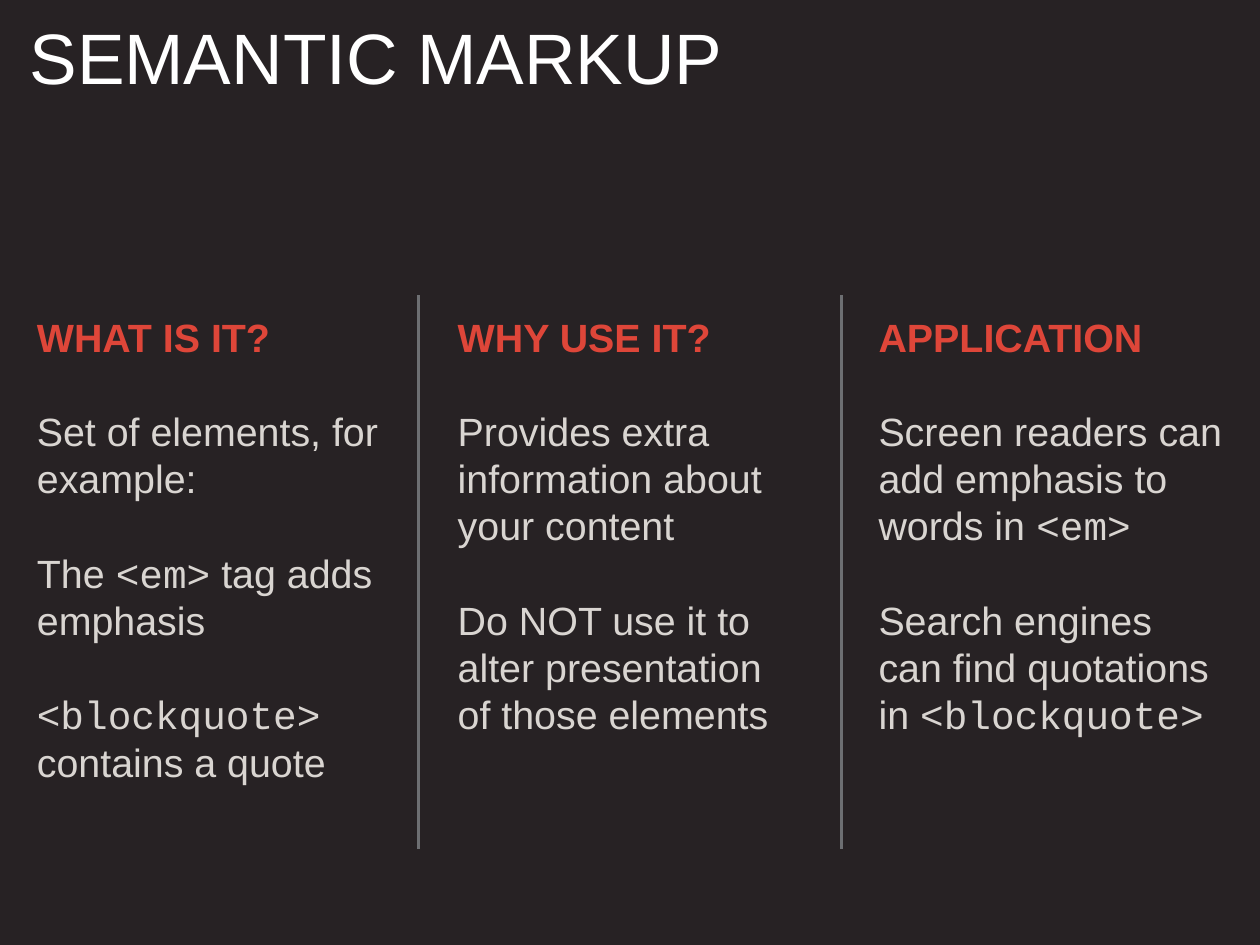
import pptx
import pptx.dml.color
import pptx.enum.shapes
import pptx.enum.text
import pptx.oxml.ns
import pptx.util
from lxml import etree

TITLE = "SEMANTIC MARKUP"
COLUMNS = [
    ("WHAT IS IT?", [
        ["Set of elements, for example:"],
        ["The ", "<em>", " tag adds emphasis"],
        ["<blockquote>", "\n", "contains a quote"],
    ]),
    ("WHY USE IT?", [
        ["Provides extra information about your content"],
        ["Do NOT use it to alter presentation of those elements"],
    ]),
    ("APPLICATION", [
        ["Screen readers can add emphasis to words in ", "<em>"],
        ["Search engines can find quotations in ", "<blockquote>"],
    ]),
]
RULES = [340, 684]

BACKGROUND, WHITE, RED, SAND, GREY = "272224", "FFFFFF", "DE4639", "D9D5D1", "6D6F72"
TEXT_FONT, CODE_FONT = "Arial", "Courier New"
COLUMN_STEP, COLUMN_WIDTH, COLUMN_INSET = 342, 340, 30
HEADING_TOP, HEADING_HEIGHT = 225, 98
BODY_TOP, BODY_HEIGHT = 300.7, 365
RULE_TOP, RULE_BOTTOM = 240, 690
TEXT_SIZE, LINE_HEIGHT = 32, 38.4

Pt = pptx.util.Pt
ANCHOR = pptx.enum.text.MSO_ANCHOR


def color(value):
    return pptx.dml.color.RGBColor.from_string(value)


def style_font(font, size, value, name=TEXT_FONT, bold=False):
    font.size = Pt(size)
    font.name = name
    font.bold = bold
    font.color.rgb = color(value)


def set_frame(text_frame, inset, anchor):
    text_frame.word_wrap = True
    text_frame.auto_size = pptx.enum.text.MSO_AUTO_SIZE.NONE
    text_frame.vertical_anchor = anchor
    text_frame.margin_left = text_frame.margin_right = Pt(inset)
    text_frame.margin_top = text_frame.margin_bottom = Pt(inset)


def add_text(slide, left, top, height, anchor, paragraphs, value, bold=False):
    shape = slide.shapes.add_textbox(Pt(left), Pt(top), Pt(COLUMN_WIDTH), Pt(height))
    text_frame = shape.text_frame
    set_frame(text_frame, COLUMN_INSET, anchor)
    for index, pieces in enumerate(paragraphs):
        paragraph = text_frame.add_paragraph() if index else text_frame.paragraphs[0]
        paragraph.line_spacing = Pt(LINE_HEIGHT)
        paragraph.space_before = Pt(LINE_HEIGHT if index else 0)
        for piece in pieces:
            if piece == "\n":
                paragraph.add_line_break()
                continue
            run = paragraph.add_run()
            run.text = piece
            font_name = CODE_FONT if piece.startswith("<") else TEXT_FONT
            style_font(run.font, TEXT_SIZE, value, font_name, bold)


def add_rule(slide, left):
    rule = slide.shapes.add_connector(
        pptx.enum.shapes.MSO_CONNECTOR.STRAIGHT,
        Pt(left), Pt(RULE_TOP), Pt(left), Pt(RULE_BOTTOM))
    rule.line.width = Pt(2)
    rule.line.color.rgb = color(GREY)
    etree.SubElement(rule.element.spPr, pptx.oxml.ns.qn("a:effectLst"))


def add_title(slide):
    title = slide.shapes.title
    title.left, title.top, title.width, title.height = Pt(20), Pt(20), Pt(980), Pt(80)
    title.text_frame.text = TITLE
    set_frame(title.text_frame, 4, ANCHOR.TOP)
    paragraph = title.text_frame.paragraphs[0]
    paragraph.alignment = pptx.enum.text.PP_ALIGN.LEFT
    paragraph.line_spacing = 0.8
    style_font(paragraph.runs[0].font, 58, WHITE)


def main():
    presentation = pptx.Presentation()
    presentation.slide_width, presentation.slide_height = Pt(1024), Pt(768)
    slide = presentation.slides.add_slide(presentation.slide_layouts.get_by_name("Title Only"))
    slide.background.fill.solid()
    slide.background.fill.fore_color.rgb = color(BACKGROUND)

    for left in RULES:
        add_rule(slide, left)
    add_title(slide)
    for index, (heading, paragraphs) in enumerate(COLUMNS):
        left = index * COLUMN_STEP
        add_text(slide, left, HEADING_TOP, HEADING_HEIGHT, ANCHOR.MIDDLE, [[heading]], RED, True)
        add_text(slide, left, BODY_TOP, BODY_HEIGHT, ANCHOR.TOP, paragraphs, SAND)

    presentation.save("out.pptx")


if __name__ == "__main__":
    main()
